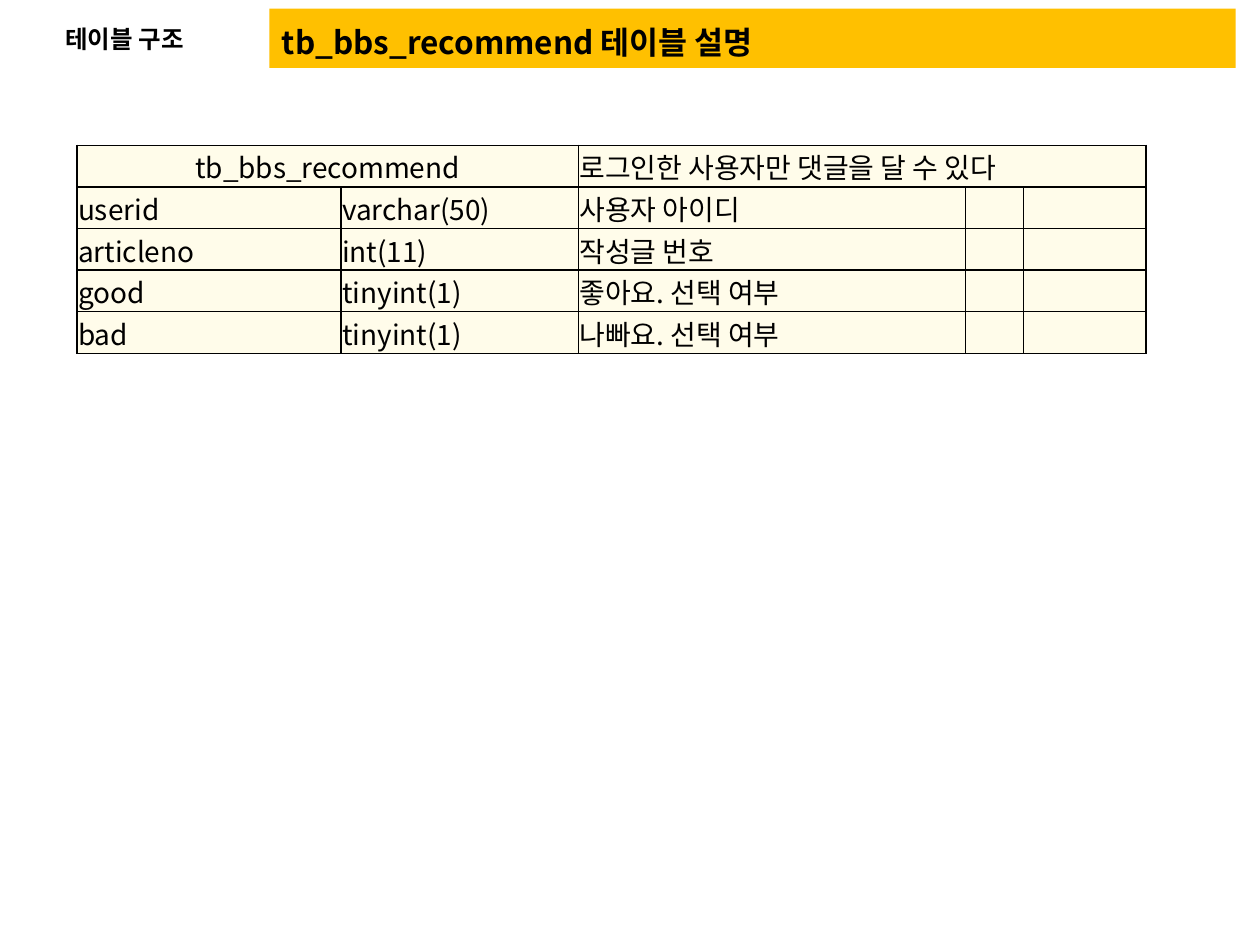
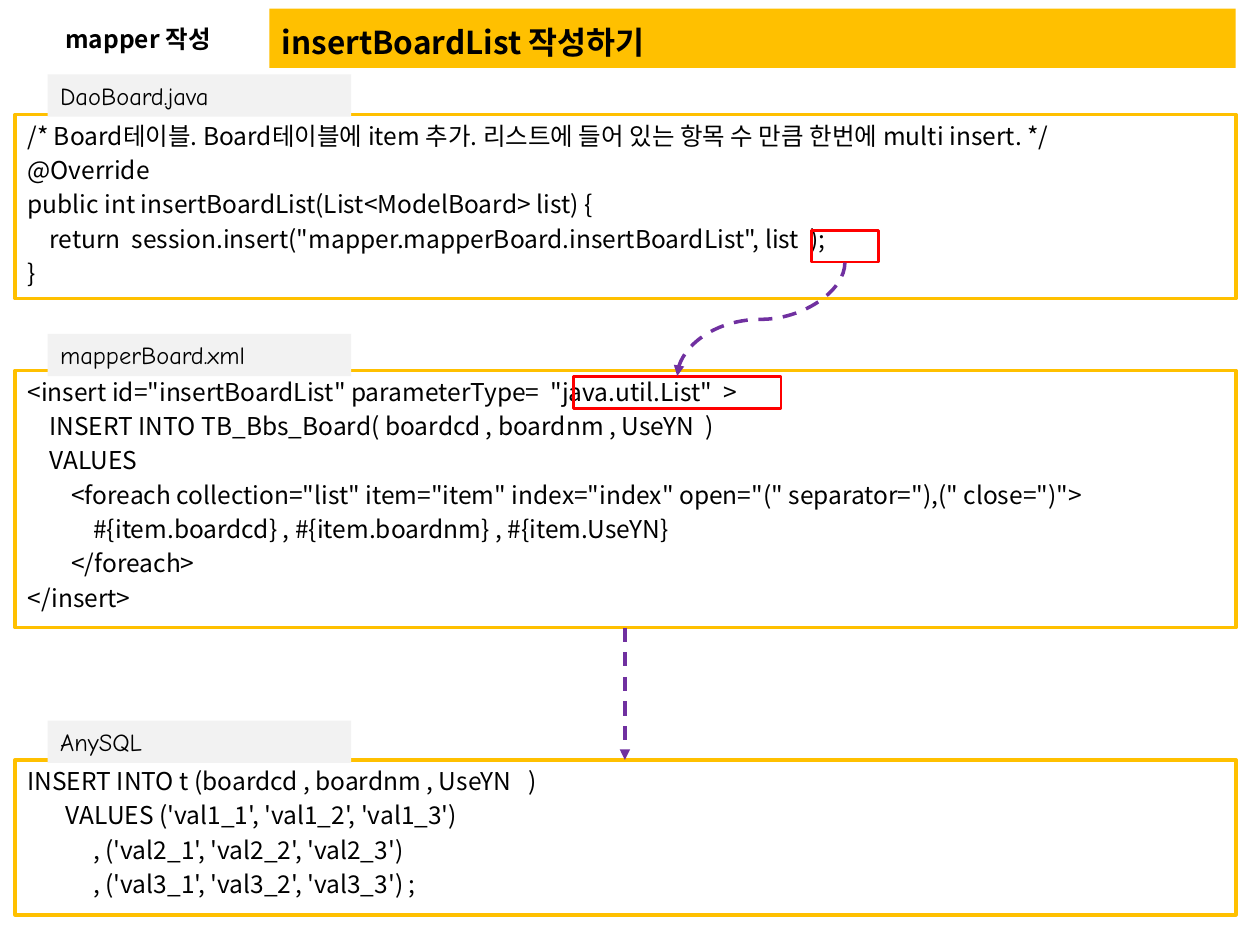
from pptx import Presentation
from pptx.util import Pt
from pptx.dml.color import RGBColor
from pptx.enum.dml import MSO_LINE as Dash
from pptx.enum.shapes import MSO_CONNECTOR as Con, MSO_SHAPE as Geo
from pptx.enum.text import MSO_ANCHOR as Anchor, PP_ALIGN as Align
from pptx.oxml import parse_xml
from pptx.oxml.ns import nsdecls, qn
from lxml.etree import SubElement as Sub

GOLD, CREAM, GRAY = "FFC000", "FFFCEA", "F2F2F2"
RED, PLUM, BLACK = "FF0000", "7030A0", "000000"
SANS, HAND = "Noto Sans CJK KR", "Comic Neue"
SPACE = 3.14
ROW = 23.8


def paint(part, hue):
    part.solid()
    part.fore_color.rgb = RGBColor.from_string(hue)


def write(para, text, size, face=SANS, bold=False):
    run = para.add_run()
    run.text = text
    font = run.font
    font.size, font.name, font.bold = Pt(size), face, bold
    paint(font.fill, BLACK)
    Sub(run._r.get_or_add_rPr(), qn("a:ea"), typeface=face)


deck = Presentation()
deck.slide_width, deck.slide_height = Pt(720), Pt(540)

heads = [
    ("테이블 구조", "tb_bbs_recommend 테이블 설명"),
    ("mapper 작성", "insertBoardList 작성하기"),
]
pages = []
for topic, title in heads:
    page = deck.slides.add_slide(deck.slide_layouts[6])
    pages.append(page)
    band = page.shapes.add_shape(Geo.RECTANGLE, Pt(154), Pt(5), Pt(552.2), Pt(33.8))
    band.shadow.inherit = False
    paint(band.fill, GOLD)
    band.line.fill.background()
    for text, left, wide, size, hold in [
        (title, 154, 552.2, 18, Anchor.BOTTOM),
        (topic, 30.2, 116, 14, Anchor.MIDDLE),
    ]:
        box = page.shapes.add_textbox(Pt(left), Pt(5.8), Pt(wide), Pt(32.4))
        frame = box.text_frame
        frame.word_wrap = True
        frame.vertical_anchor = hold
        write(frame.paragraphs[0], text, size, bold=True)

plan, code = pages

rows = [
    ("tb_bbs_recommend", "", "로그인한 사용자만 댓글을 달 수 있다"),
    ("userid", "varchar(50)", "사용자 아이디"),
    ("articleno", "int(11)", "작성글 번호"),
    ("good", "tinyint(1)", "좋아요. 선택 여부"),
    ("bad", "tinyint(1)", "나빠요. 선택 여부"),
]
wides = [151, 135.6, 221.4, 33, 70]
grid = plan.shapes.add_table(
    len(rows), len(wides), Pt(43.9), Pt(83), Pt(sum(wides)), Pt(ROW * len(rows))
).table
grid.first_row = grid.horz_banding = False
for col, wide in zip(grid.columns, wides):
    col.width = Pt(wide)
for r, row in enumerate(rows):
    grid.rows[r].height = Pt(ROW)
    for c in range(len(wides)):
        cell = grid.cell(r, c)
        cell.margin_left = cell.margin_right = cell.margin_top = Pt(0.72)
        cell.margin_bottom = 0
        cell.vertical_anchor = Anchor.MIDDLE
        for side in "LRTB":
            cell._tc.get_or_add_tcPr().append(parse_xml(
                f'<a:ln{side} {nsdecls("a")} w="12700"><a:solidFill>'
                f'<a:srgbClr val="{BLACK}"/></a:solidFill></a:ln{side}>'
            ))
        paint(cell.fill, CREAM)
        write(cell.text_frame.paragraphs[0], row[c] if c < len(row) else "", 16)
grid.cell(0, 0).text_frame.paragraphs[0].alignment = Align.CENTER
grid.cell(0, 0).merge(grid.cell(0, 1))
grid.cell(0, 2).merge(grid.cell(0, 4))

panels = [
    ("DaoBoard.java", 42.5, 65.5, 105.1, [
        (0, "/* Board테이블. Board테이블에 item 추가. 리스트에 들어 있는 항목 수 만큼 한번에 multi insert. */"),
        (0, "@Override"),
        (0, "public int insertBoardList(List<ModelBoard> list) {"),
        (4, 'return  session.insert("mapper.mapperBoard.insertBoardList", list  );'),
        (0, "}"),
    ]),
    ("mapperBoard.xml", 190.8, 211.7, 146.9, [
        (0, '<insert id="insertBoardList" parameterType=  "java.util.List"  >'),
        (4, "INSERT INTO TB_Bbs_Board( boardcd , boardnm , UseYN  )"),
        (4, "VALUES"),
        (8, '<foreach collection="list" item="item" index="index" open="(" separator="),(" close=")">'),
        (12, "#{item.boardcd} , #{item.boardnm} , #{item.UseYN}"),
        (8, "</foreach>"),
        (0, "</insert>"),
    ]),
    ("AnySQL", 411.8, 434.2, 88.6, [
        (0, "INSERT INTO t (boardcd , boardnm , UseYN   )"),
        (7, "VALUES ('val1_1', 'val1_2', 'val1_3')"),
        (12, ", ('val2_1', 'val2_2', 'val2_3')"),
        (12, ", ('val3_1', 'val3_2', 'val3_3') ;"),
    ]),
]
for name, tab, top, high, lines in panels:
    box = code.shapes.add_shape(Geo.RECTANGLE, Pt(8.6), Pt(top), Pt(697.7), Pt(high))
    box.shadow.inherit = False
    box.fill.background()
    paint(box.line.fill, GOLD)
    box.line.width = Pt(2)
    frame = box.text_frame
    frame.word_wrap = True
    frame.vertical_anchor = Anchor.TOP
    for i, (dent, text) in enumerate(lines):
        para = frame.add_paragraph() if i else frame.paragraphs[0]
        para.alignment = Align.LEFT
        para.space_before = Pt(2.8 if i else 0)
        para._p.get_or_add_pPr().set("marL", str(Pt(dent * SPACE)))
        write(para, text, 14)
    tag = code.shapes.add_shape(Geo.RECTANGLE, Pt(27.2), Pt(tab), Pt(173.5), Pt(24.2))
    tag.shadow.inherit = False
    paint(tag.fill, GRAY)
    tag.line.fill.background()
    tag.text_frame.word_wrap = True
    tag.text_frame.vertical_anchor = Anchor.TOP
    para = tag.text_frame.paragraphs[0]
    para.alignment = Align.LEFT
    write(para, name, 14, HAND)

for left, top, wide in [(463.7, 131.8, 38.2), (327.6, 215.3, 118.8)]:
    mark = code.shapes.add_shape(Geo.RECTANGLE, Pt(left), Pt(top), Pt(wide), Pt(18))
    mark.shadow.inherit = False
    mark.fill.background()
    paint(mark.line.fill, RED)
    mark.line.width = Pt(1.5)

for kind, x1, y1, x2, y2, turn in [
    (Con.CURVE, 402.5, 134.6, 467.3, 230.4, 90),
    (Con.STRAIGHT, 357.1, 358.6, 357.1, 434.2, 0),
]:
    link = code.shapes.add_connector(kind, Pt(x1), Pt(y1), Pt(x2), Pt(y2))
    paint(link.line.fill, PLUM)
    link.line.width = Pt(2)
    link.line.dash_style = Dash.DASH
    prop = link._element.spPr
    prop.find(qn("a:xfrm")).set("rot", str(turn * 60000))
    Sub(prop.find(qn("a:ln")), qn("a:tailEnd"), type="triangle")
    Sub(prop, qn("a:effectLst"))

deck.save("out.pptx")
